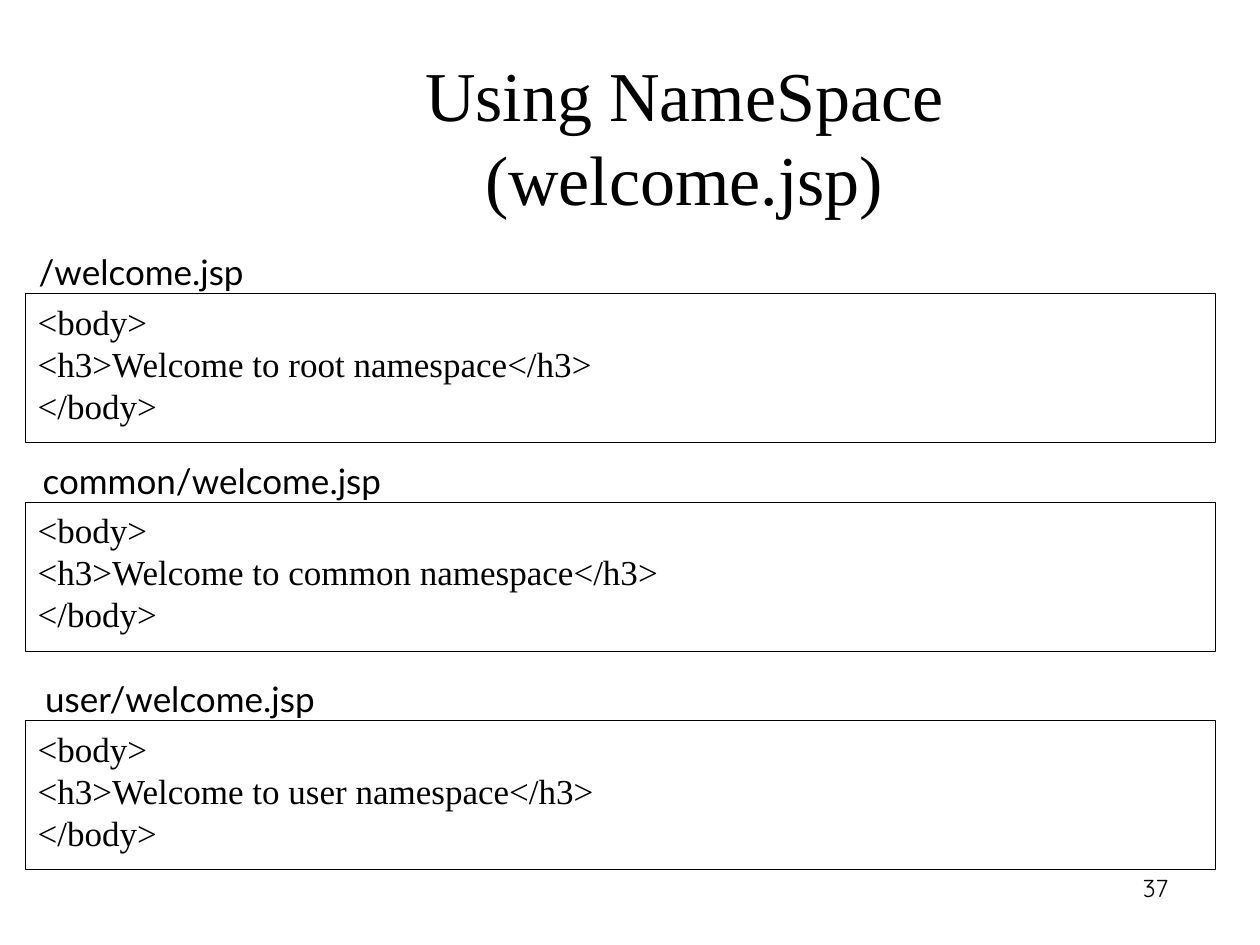
from dataclasses import dataclass

from pptx import Presentation, util as u
from pptx.dml.color import RGBColor
from pptx.enum import shapes, text


@dataclass(frozen=True)
class Theme:
    ink = RGBColor(0, 0, 0)
    paper = RGBColor(255, 255, 255)
    border = u.Pt(0.75)
    title = {"name": "Times New Roman", "size": u.Pt(40)}
    code = {"name": "Times New Roman", "size": u.Pt(20)}
    file_label = {"name": "Lato", "size": u.Pt(20)}
    number = {"name": "Quicksand", "size": u.Pt(14)}


THEME = Theme()
LEFT, CENTER = text.PP_ALIGN.LEFT, text.PP_ALIGN.CENTER
FRAME = {
    "margin_left": u.Cm(0.25),
    "margin_right": u.Cm(0.25),
    "margin_top": u.Cm(0.13),
    "margin_bottom": u.Cm(0.13),
    "vertical_anchor": text.MSO_ANCHOR.TOP,
    "word_wrap": True,
    "auto_size": text.MSO_AUTO_SIZE.NONE,
}


def set_all(target, values):
    for name, value in values.items():
        setattr(target, name, value)


def cm_box(*lengths):
    return [u.Cm(length) for length in lengths]


def write(frame, lines, font, align=LEFT, spacing=None, **frame_values):
    set_all(frame, FRAME | frame_values)
    frame.text = "\n".join(lines)
    for paragraph in frame.paragraphs:
        set_all(paragraph, {"alignment": align, "line_spacing": spacing})
        for run in paragraph.runs:
            set_all(run.font, font)
            run.font.color.rgb = THEME.ink


def add_heading(slide, box, lines):
    heading = slide.shapes.title
    set_all(heading, dict(zip(("left", "top", "width", "height"), cm_box(*box))))
    write(heading.text_frame, lines, THEME.title, CENTER, u.Pt(48))


def add_listing(slide, box, file_name, indent, name_width, namespace):
    left, top, width, height = box
    panel = slide.shapes.add_shape(shapes.MSO_SHAPE.RECTANGLE, *cm_box(*box))
    panel.shadow.inherit = False
    panel.fill.solid()
    panel.fill.fore_color.rgb = THEME.paper
    panel.line.color.rgb = THEME.ink
    panel.line.width = THEME.border
    code = ["<body>", f"<h3>Welcome to {namespace} namespace</h3>", "</body>"]
    write(panel.text_frame, code, THEME.code, spacing=u.Pt(24))

    label = slide.shapes.add_textbox(*cm_box(left + indent, top - 1, name_width, 1.12))
    write(label.text_frame, [file_name], THEME.file_label, word_wrap=False,
          auto_size=text.MSO_AUTO_SIZE.SHAPE_TO_FIT_TEXT)


def add_page_number(slide, box, number):
    page = slide.shapes.add_textbox(*cm_box(*box))
    write(page.text_frame, [number], THEME.number, CENTER, 1.5)


def main():
    deck = Presentation()
    set_all(deck, {"slide_width": u.Cm(25.4), "slide_height": u.Cm(19.05)})
    slide = deck.slides.add_slide(deck.slide_layouts[5])

    add_page_number(slide, (22.61, 17.17, 1.37, 1.55), "37")
    add_heading(slide, (7.09, 0.91, 13.41, 3.66), ["Using NameSpace", "(welcome.jsp)"])
    listings = [
        (5.92, "/welcome.jsp", 0.02, 4.88, "root"),
        (10.13, "common/welcome.jsp", 0.1, 7.82, "common"),
        (14.53, "user/welcome.jsp", 0.15, 6.35, "user"),
    ]
    for top, *content in listings:
        add_listing(slide, (0.51, top, 24, 3), *content)

    deck.save("out.pptx")


if __name__ == "__main__":
    main()
